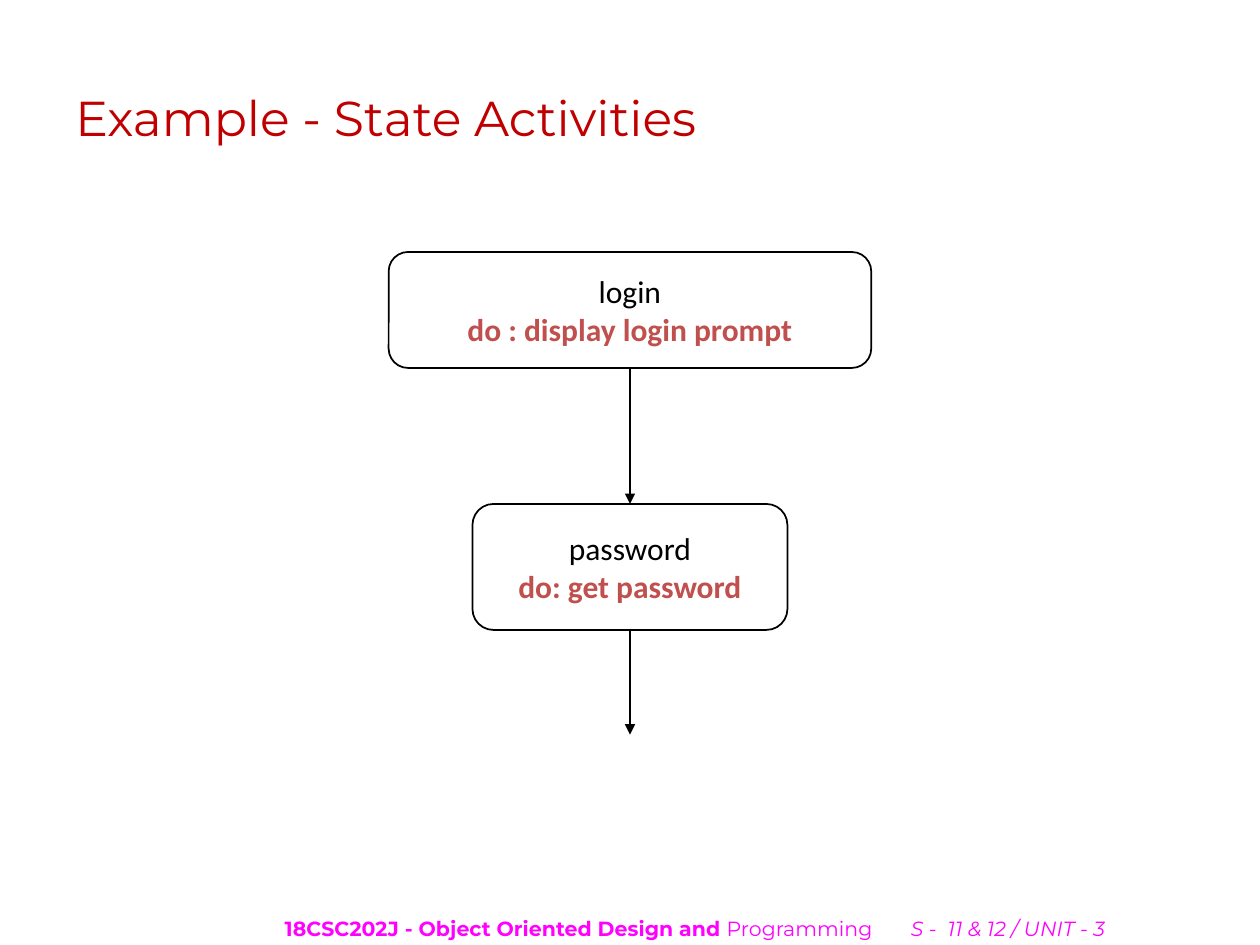
"""Build a slide showing a state diagram with state activities."""
from dataclasses import dataclass

from lxml.etree import SubElement
from pptx import Presentation
from pptx.dml.color import RGBColor
from pptx.enum.shapes import MSO_CONNECTOR, MSO_SHAPE
from pptx.enum.text import MSO_ANCHOR, PP_ALIGN
from pptx.oxml.ns import qn
from pptx.util import Inches, Pt

BLACK, WHITE, RED, BRICK, MAGENTA = "000000", "FFFFFF", "C00000", "C0504D", "FF00FF"
CENTRE = 5


@dataclass
class State:
    name: str
    activity: str
    top: float
    width: float
    height: float


STATES = [
    State("login", "do : display login prompt", 2, 3.83, 0.92),
    State("password", "do: get password", 4, 2.5, 1),
]


def rgb(value: str) -> RGBColor:
    return RGBColor.from_string(value)


def add_run(p, text: str, size: float, font: str, color: str,
            bold: bool = False, italic: bool = False) -> None:
    r = p.add_run()
    r.text = text
    r.font.size, r.font.name = Pt(size), font
    r.font.bold, r.font.italic = bold, italic
    r.font.color.rgb = rgb(color)


def add_text_box(s, left: float, top: float, width: float, height: float):
    tf = s.shapes.add_textbox(Inches(left), Inches(top), Inches(width), Inches(height)).text_frame
    tf.word_wrap = True
    tf.vertical_anchor = MSO_ANCHOR.MIDDLE
    return tf


def add_state(s, state: State):
    sp = s.shapes.add_shape(
        MSO_SHAPE.ROUNDED_RECTANGLE, Inches(CENTRE - state.width / 2), Inches(state.top),
        Inches(state.width), Inches(state.height))
    sp.shadow.inherit = False
    sp.fill.solid()
    sp.fill.fore_color.rgb = rgb(WHITE)
    sp.line.color.rgb = rgb(BLACK)
    sp.line.width = Pt(1)
    tf = sp.text_frame
    tf.word_wrap = False
    tf.vertical_anchor = MSO_ANCHOR.MIDDLE
    name, activity = tf.paragraphs[0], tf.add_paragraph()
    name.alignment = activity.alignment = PP_ALIGN.CENTER
    add_run(name, state.name, 18, "Calibri", BLACK)
    add_run(activity, state.activity, 18, "Calibri", BRICK, bold=True)
    return sp


def add_arrow(s, source, bottom: float, target=None) -> None:
    x = Inches(CENTRE)
    line = s.shapes.add_connector(
        MSO_CONNECTOR.STRAIGHT, x, source.top + source.height, x, Inches(bottom))
    line.begin_connect(source, 2)
    if target is not None:
        line.end_connect(target, 0)
    line.line.color.rgb = rgb(BLACK)
    line.line.width = Pt(1)
    SubElement(line.line._get_or_add_ln(), qn("a:tailEnd"), type="triangle")
    SubElement(line._element.spPr, qn("a:effectLst"))


def add_footer(s) -> None:
    tf = add_text_box(s, 1.27, 7.21, 8.5, 0.32)
    tf.margin_left = Inches(0.99)
    p = tf.paragraphs[0]
    tabs = SubElement(p._p.get_or_add_pPr(), qn("a:tabLst"))
    SubElement(tabs, qn("a:tab"), pos=str(Inches(4.97)), algn="l")
    style = (11.7, "Montserrat", MAGENTA)
    add_run(p, "18CSC202J - Object Oriented Design and ", *style, bold=True)
    add_run(p, "Programming\t", *style)
    add_run(p, "S -  11 & 12 / UNIT - 3", *style, italic=True)


def main() -> None:
    prs = Presentation()
    prs.slide_width, prs.slide_height = Inches(10), Inches(7.5)
    s = prs.slides.add_slide(prs.slide_layouts[6])
    title = add_text_box(s, 0.5, 0.3, 9, 1.25)
    add_run(title.paragraphs[0], "Example - State Activities", 28, "Montserrat", RED)
    login, password = [add_state(s, state) for state in STATES]
    add_arrow(s, login, STATES[1].top, password)
    add_arrow(s, password, 5.83)
    add_footer(s)
    prs.save("out.pptx")


if __name__ == "__main__":
    main()
